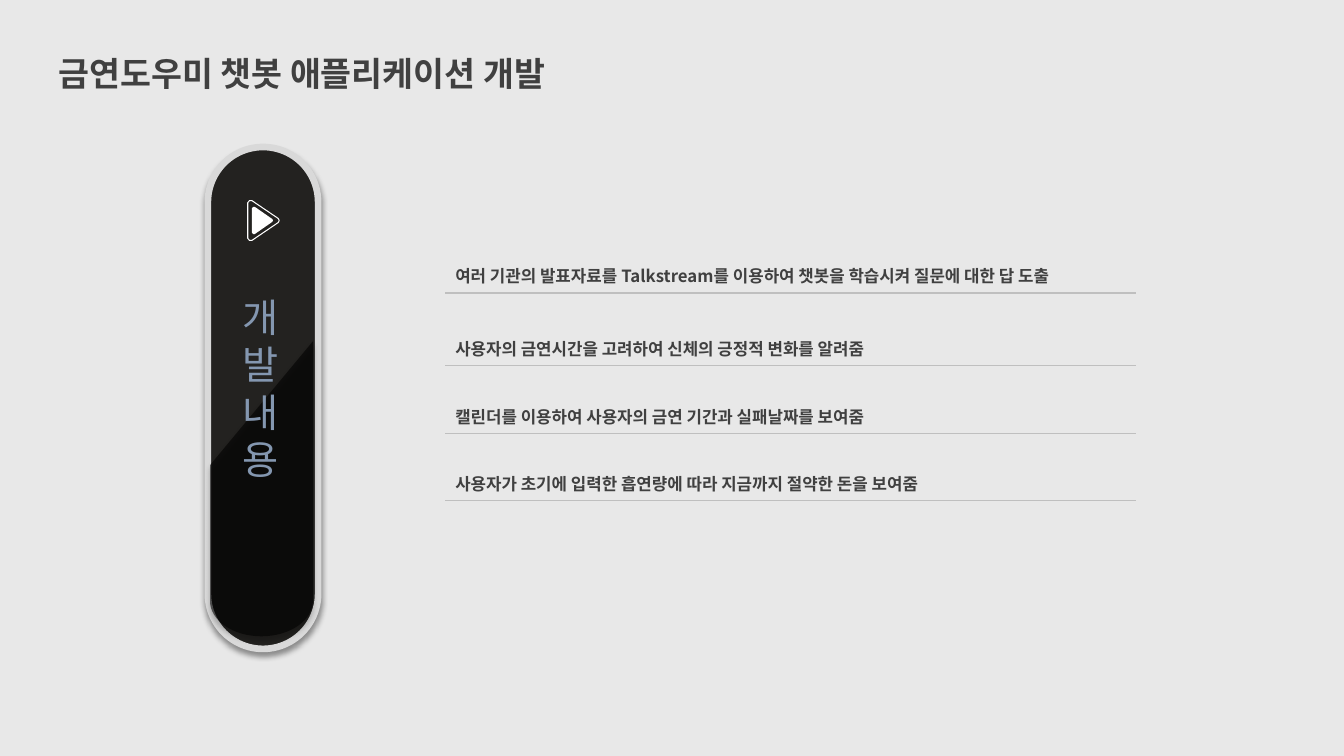
"""Build the slide on the development contents of a quit-smoking chatbot app."""
from dataclasses import dataclass
from math import cos, pi, sin

from lxml.etree import SubElement
from pptx import Presentation
from pptx.dml.color import RGBColor
from pptx.enum.shapes import MSO_SHAPE as Shape
from pptx.enum.text import MSO_ANCHOR as Anchor, MSO_AUTO_SIZE as AutoSize, PP_ALIGN as Align
from pptx.oxml.ns import qn
from pptx.util import Pt

PX = 9525
NO_TABLE_STYLE = "{2D5ABB26-0587-4C30-8999-92F81FD0307C}"


@dataclass(frozen=True)
class Theme:
    font: str = "Noto Sans CJK KR"
    background: str = "E8E8E8"
    text: str = "404040"
    label: str = "8497B0"
    pill: str = "232220"
    rim: str = "D9D9D9"
    rule: str = "BFBFBF"
    shade: str = "000000"
    icon: str = "FFFFFF"
    title_size: int = 24
    label_size: int = 28
    row_size: int = 12


@dataclass(frozen=True)
class Box:
    x: int
    y: int
    w: int
    h: int

    def emu(self) -> tuple[int, ...]:
        return tuple(v * PX for v in (self.x, self.y, self.w, self.h))


@dataclass(frozen=True)
class Row:
    text: str
    height: int


THEME = Theme()
TITLE = "금연도우미 챗봇 애플리케이션 개발"
LABEL = "개발내용"
ROWS = (
    Row("여러 기관의 발표자료를 Talkstream를 이용하여 챗봇을 학습시켜 질문에 대한 답 도출", 76),
    Row("사용자의 금연시간을 고려하여 신체의 긍정적 변화를 알려줌", 69),
    Row("캘린더를 이용하여 사용자의 금연 기간과 실패날짜를 보여줌", 65),
    Row("사용자가 초기에 입력한 흡연량에 따라 지금까지 절약한 돈을 보여줌", 64),
)
TITLE_BOX = Box(46, 26, 550, 60)
PILL_BOX = Box(198, 140, 105, 478)
LABEL_BOX = Box(198, 275, 100, 191)
TABLE_BOX = Box(424, 203, 658, sum(row.height for row in ROWS))
SHADE_BOX = Box(200, 325, 98, 281)
PLAY_OUTER = Box(236, 191, 30, 38)
PLAY_INNER = Box(240, 197, 20, 26)
PLAY_OUTLINE = ((0.97, 0.45), (0.13, 0), (0.06, 0), (0, 0.05), (0, 0.95),
                (0.06, 1), (0.13, 1), (0.97, 0.55), (1, 0.5))


def rgb(color: str) -> RGBColor:
    return RGBColor.from_string(color)


def style_text(p, size: int, color: str, bold: bool = False) -> None:
    f = p.font
    f.name, f.size, f.bold = THEME.font, Pt(size), bold
    f.color.rgb = rgb(color)
    SubElement(p._p.pPr.find(qn("a:defRPr")), qn("a:ea"), typeface=THEME.font)


def add_alpha(parent, percent: int) -> None:
    SubElement(parent, qn("a:alpha"), val=str(percent * 1000))


def add_shadow(sp) -> None:
    effects = sp._element.spPr.find(qn("a:effectLst"))
    shadow = SubElement(effects, qn("a:outerShdw"), blurRad=str(Pt(4)), dist=str(Pt(3)),
                        dir="5400000", algn="t", rotWithShape="0")
    add_alpha(SubElement(shadow, qn("a:srgbClr"), val=THEME.shade), 40)


def paint(sp, fill: str | None = None, line: str | None = None, width: float = 0) -> None:
    sp.shadow.inherit = False
    if fill:
        sp.fill.solid()
        sp.fill.fore_color.rgb = rgb(fill)
    else:
        sp.fill.background()
    if line:
        sp.line.color.rgb = rgb(line)
        sp.line.width = Pt(width)
    else:
        sp.line.fill.background()


def add_outline(s, box: Box, points):
    spots = [(round((box.x + u * box.w) * PX), round((box.y + v * box.h) * PX)) for u, v in points]
    builder = s.shapes.build_freeform(*spots[0], scale=1.0)
    builder.add_line_segments(spots[1:], close=True)
    return builder.convert_to_shape()


def add_title(s) -> None:
    sp = s.shapes.title
    sp.left, sp.top, sp.width, sp.height = TITLE_BOX.emu()
    tf = sp.text_frame
    tf.text = TITLE
    tf.vertical_anchor = Anchor.TOP
    tf.auto_size = AutoSize.SHAPE_TO_FIT_TEXT
    p = tf.paragraphs[0]
    p.alignment, p.line_spacing = Align.LEFT, 1.5
    style_text(p, THEME.title_size, THEME.text, bold=True)


def add_pill(s) -> None:
    sp = s.shapes.add_shape(Shape.ROUNDED_RECTANGLE, *PILL_BOX.emu())
    sp.adjustments[0] = 0.5
    paint(sp, THEME.pill, THEME.rim, 4.75)
    add_shadow(sp)

    steps = 32
    bowl = [(0.5 + 0.5 * cos(pi * i / steps), 0.88 + 0.12 * sin(pi * i / steps))
            for i in range(steps + 1)]
    sp = add_outline(s, SHADE_BOX, [(1, 0), *bowl, (0, 0.42)])
    paint(sp, THEME.shade)
    add_alpha(sp._element.spPr.find(qn("a:solidFill"))[0], 57)
    add_shadow(sp)


def add_label(s) -> None:
    tf = s.shapes.add_textbox(*LABEL_BOX.emu()).text_frame
    tf.word_wrap = True
    tf.text = "\n".join(LABEL)
    for p in tf.paragraphs:
        p.alignment = Align.CENTER
        style_text(p, THEME.label_size, THEME.label)


def add_play_icon(s) -> None:
    paint(add_outline(s, PLAY_OUTER, PLAY_OUTLINE), line=THEME.icon, width=0.75)
    paint(add_outline(s, PLAY_INNER, PLAY_OUTLINE), THEME.icon)


def add_rule(cell) -> None:
    line = SubElement(cell._tc.get_or_add_tcPr(), qn("a:lnB"), w=str(Pt(1)))
    SubElement(SubElement(line, qn("a:solidFill")), qn("a:srgbClr"), val=THEME.rule)


def add_rows(s) -> None:
    table = s.shapes.add_table(len(ROWS), 1, *TABLE_BOX.emu()).table
    table.first_row = table.horz_banding = False
    table._tbl.tblPr.find(qn("a:tableStyleId")).text = NO_TABLE_STYLE
    for i, row in enumerate(ROWS):
        table.rows[i].height = row.height * PX
        cell = table.cell(i, 0)
        cell.text = row.text
        cell.vertical_anchor = Anchor.BOTTOM
        add_rule(cell)
        cell.fill.background()
        style_text(cell.text_frame.paragraphs[0], THEME.row_size, THEME.text, bold=True)


def main() -> None:
    prs = Presentation()
    prs.slide_width, prs.slide_height = 1280 * PX, 720 * PX
    s = prs.slides.add_slide(prs.slide_layouts[5])
    s.background.fill.solid()
    s.background.fill.fore_color.rgb = rgb(THEME.background)
    add_title(s)
    add_pill(s)
    add_label(s)
    add_play_icon(s)
    add_rows(s)
    prs.save("out.pptx")


if __name__ == "__main__":
    main()
